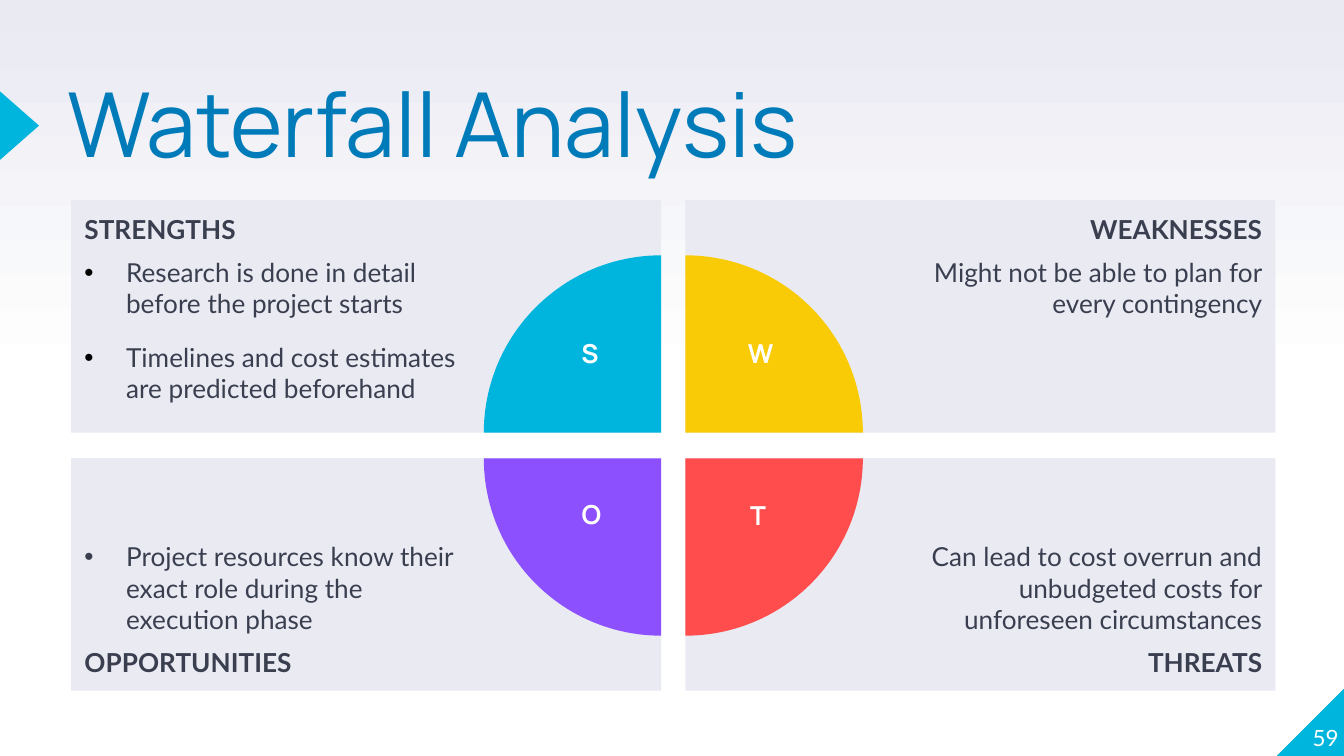
import copy
from lxml import etree
from pptx import Presentation
from pptx import util as u
from pptx.dml.color import RGBColor
from pptx.enum import shapes, text
from pptx.oxml.ns import qn

WHITE = RGBColor(0xFF, 0xFF, 0xFF)
BLACK = RGBColor(0, 0, 0)
PALE = RGBColor(0xE9, 0xEA, 0xF2)
INK = RGBColor(0x3A, 0x3F, 0x50)
BLUE = RGBColor(0x00, 0x7B, 0xB9)
CYAN = RGBColor(0x00, 0xB5, 0xDD)
YELLOW = RGBColor(0xF9, 0xCB, 0x07)
RED = RGBColor(0xFF, 0x4D, 0x4D)
PURPLE = RGBColor(0x8C, 0x50, 0xFF)

W = 10
H = W * 9 / 16
LEFT, TOP = 0.53, 1.49            # first panel
PANEL_W, PANEL_H = 4.39, 1.73
STEP_X, STEP_Y = 4.57, 1.92       # panel plus gutter
RADIUS = 1.32
INDENT = 0.31

# row, column, heading, points, bullet colour, letter, pie colour, rotation,
# letter box width, letter's distance from the inner corner
QUADRANTS = [
    (0, 0, "STRENGTHS",
     ["Research is done in detail before the project starts",
      "Timelines and cost estimates are predicted beforehand"],
     BLACK, "S", CYAN, 0, 0.38, (0.53, 0.52)),
    (0, 1, "WEAKNESSES", ["Might not be able to plan for every contingency"],
     None, "W", YELLOW, 90, 0.71, (0.56, 0.52)),
    (1, 0, "OPPORTUNITIES",
     ["Project resources know their exact role during the execution phase"],
     INK, "O", PURPLE, 270, 0.47, (0.52, 0.49)),
    (1, 1, "THREATS",
     ["Can lead to cost overrun and unbudgeted costs for unforeseen circumstances"],
     None, "T", RED, 180, 0.4, (0.54, 0.5)),
]


def add_shape(s, kind, box, color):
    sp = s.shapes.add_shape(kind, *map(u.Inches, box))
    sp.shadow.inherit = False
    sp.fill.solid()
    sp.fill.fore_color.rgb = color
    sp.line.fill.background()
    return sp


def set_frame(tf, insets, anchor=text.MSO_ANCHOR.TOP):
    tf.word_wrap = True
    tf.vertical_anchor = anchor
    tf.margin_left, tf.margin_top, tf.margin_right, tf.margin_bottom = map(u.Inches, insets)


def add_run(p, words, size, font, color, bold=False):
    r = p.add_run()
    r.text = words
    r.font.size, r.font.name, r.font.bold = u.Pt(size), font, bold
    r.font.color.rgb = color


def add_label(s, box, words, size, font, color, align, insets=(0, 0, 0, 0),
              anchor=text.MSO_ANCHOR.TOP, bold=False):
    tf = s.shapes.add_textbox(*map(u.Inches, box)).text_frame
    set_frame(tf, insets, anchor)
    p = tf.paragraphs[0]
    p.alignment = align
    add_run(p, words, size, font, color, bold)
    return p


def add_bullet(p, color):
    pPr = p._p.get_or_add_pPr()
    pPr.set("marL", str(u.Inches(INDENT)))
    pPr.set("indent", str(-u.Inches(INDENT)))
    clr = etree.SubElement(pPr, qn("a:buClr"))
    etree.SubElement(clr, qn("a:srgbClr"), val=str(color))
    etree.SubElement(pPr, qn("a:buFont"), typeface="Arial")
    etree.SubElement(pPr, qn("a:buChar"), char="•")


def background(s):
    fill = s.background.fill
    fill.gradient()
    fill.gradient_angle = 90
    first = fill.gradient_stops[0]._gs
    first.addnext(copy.deepcopy(first))
    for stop, (pos, color) in zip(fill.gradient_stops, [(0, WHITE), (0.5, WHITE), (1, PALE)]):
        stop.position = pos
        stop.color.rgb = color


def title(s, box):
    # Marker at the slide's edge
    marker = add_shape(s, shapes.MSO_SHAPE.ISOSCELES_TRIANGLE, (-0.11, 0.79, 0.51, 0.29), CYAN)
    marker.rotation = 90
    p = add_label(s, box, "Waterfall Analysis", 48, "Manrope", BLUE, text.PP_ALIGN.LEFT)
    p.line_spacing = 0.8


def page_number(s, side):
    corner = add_shape(s, shapes.MSO_SHAPE.RIGHT_TRIANGLE, (W - 0.5, H - side, side, side), CYAN)
    corner._element.spPr.find(qn("a:xfrm")).set("flipH", "1")
    add_label(s, (W - 0.54, H - 0.55, 0.5, side), "59", 12, "Lato", WHITE,
              text.PP_ALIGN.RIGHT, anchor=text.MSO_ANCHOR.BOTTOM)


def panel(s, box, row, col, heading, points, bullet):
    sp = add_shape(s, shapes.MSO_SHAPE.RECTANGLE, box, PALE)
    tf = sp.text_frame
    insets = (1.5, 0.1, 0.1, 0.1) if col else (0.1, 0.1, 1.5, 0.1)
    set_frame(tf, insets, text.MSO_ANCHOR.BOTTOM if row else text.MSO_ANCHOR.TOP)
    # The heading sits on the panel's outer edge
    lines = [(point, False) for point in points]
    lines.insert(len(lines) if row else 0, (heading, True))
    for i, (words, bold) in enumerate(lines):
        p = tf.add_paragraph() if i else tf.paragraphs[0]
        p.alignment = text.PP_ALIGN.RIGHT if col else text.PP_ALIGN.LEFT
        if i:
            p.space_before = p.space_after = u.Pt(6)
        if bullet and not bold:
            add_bullet(p, bullet)
        add_run(p, words, 14, "Lato", INK, bold)


def quarter(s, corner, color, rotation):
    x, y = corner
    pie = add_shape(s, shapes.MSO_SHAPE.PIE,
                    (x - RADIUS, y - RADIUS, 2 * RADIUS, 2 * RADIUS), color)
    pie.adjustments[0], pie.adjustments[1] = 108, 162   # 180 to 270 degrees
    pie.rotation = rotation


def swot(s, left, top):
    cells = []
    for row, col, *rest in QUADRANTS:
        x, y = left + col * STEP_X, top + row * STEP_Y
        corner = (x if col else x + PANEL_W, y if row else y + PANEL_H)
        cells.append((row, col, x, y, corner, rest))
    # Panels
    for row, col, x, y, _, (heading, points, bullet, *_) in cells:
        panel(s, (x, y, PANEL_W, PANEL_H), row, col, heading, points, bullet)
    # Quarter circles
    for _, _, _, _, corner, (*_, color, rotation, _, _) in cells:
        quarter(s, corner, color, rotation)
    # Letters
    for row, col, _, _, (cx, cy), (_, _, _, letter, _, _, width, (dx, dy)) in cells:
        x = cx + (dx if col else -dx) - width / 2
        y = cy + (dy if row else -dy) - 0.24
        add_label(s, (x, y, width, 0.48), letter, 14, "Manrope", WHITE,
                  text.PP_ALIGN.CENTER, (0.1, 0.05, 0.1, 0.05), bold=True)


def main():
    prs = Presentation()
    prs.slide_width, prs.slide_height = u.Inches(W), u.Inches(H)
    s = prs.slides.add_slide(prs.slide_layouts[6])
    background(s)
    page_number(s, 0.51)
    title(s, (0.5, 0.66, 6.17, 1.18))
    swot(s, LEFT, TOP)
    prs.save("out.pptx")


if __name__ == "__main__":
    main()
